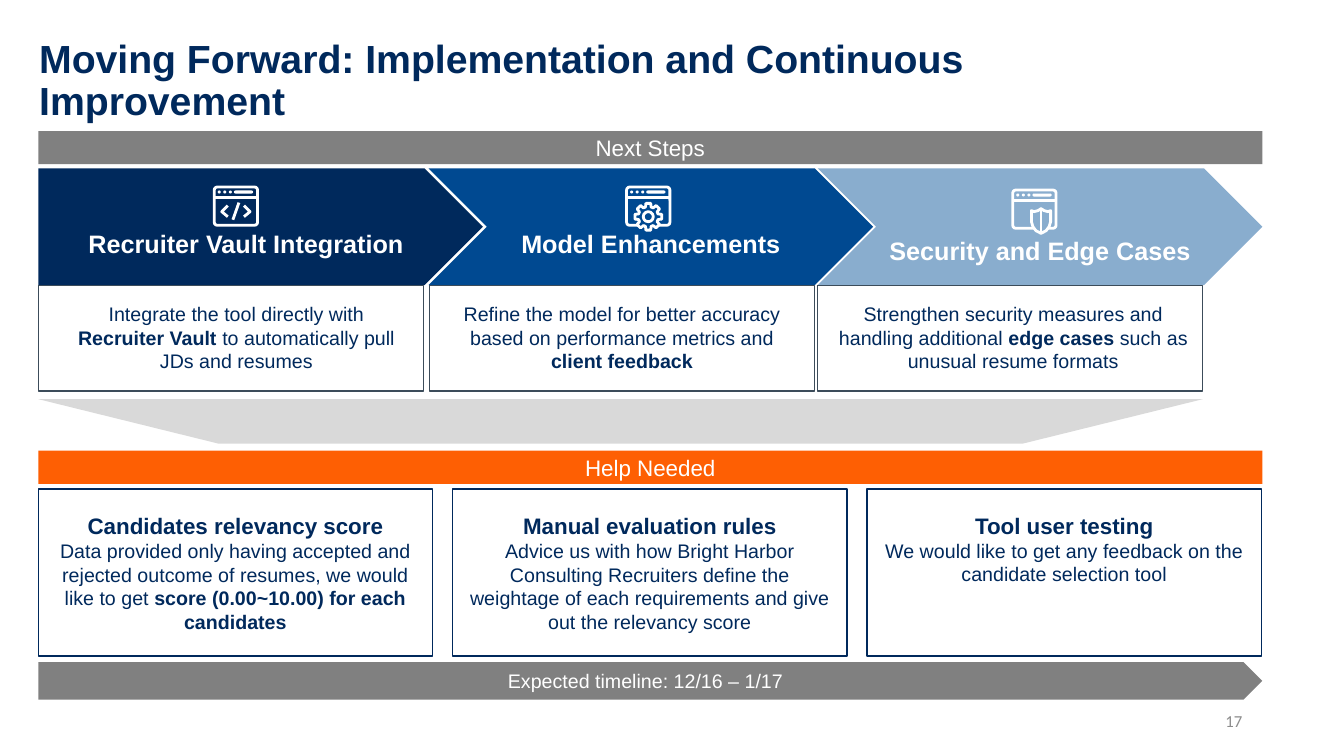
from math import cos, pi, sin
from pptx import Presentation
from pptx.dml.color import RGBColor
from pptx.enum.shapes import MSO_CONNECTOR, MSO_SHAPE
from pptx.enum.text import MSO_ANCHOR, PP_ALIGN
from pptx.oxml.ns import qn
from pptx.util import Inches, Pt

NAVY = RGBColor(0x00, 0x29, 0x5C)
BLUE = RGBColor(0x00, 0x49, 0x91)
LIGHT_BLUE = RGBColor(0x89, 0xAD, 0xCE)
ORANGE = RGBColor(0xFE, 0x5F, 0x03)
GRAY = RGBColor(0x80, 0x80, 0x80)
PALE_GRAY = RGBColor(0xD9, 0xD9, 0xD9)
NUMBER_GRAY = RGBColor(0x8C, 0x8C, 0x8C)
SLATE = RGBColor(0x3C, 0x4C, 0x5A)
WHITE = RGBColor(0xFF, 0xFF, 0xFF)

LEFT = 0.38
FULL_WIDTH = 12.14


def write(tf, text, size=14, color=NAVY, bold=False, font="Arial",
          align=PP_ALIGN.CENTER, line_spacing=None):
    p = tf.paragraphs[0]
    if p.runs:
        p = tf.add_paragraph()
    p.alignment = align
    if line_spacing:
        p.line_spacing = line_spacing
    for i, part in enumerate(text.split("**")):
        if part:
            r = p.add_run()
            r.text = part
            r.font.size = Pt(size)
            r.font.name = font
            r.font.color.rgb = color
            r.font.bold = bold or i % 2 == 1


class SlideBuilder:
    def __init__(self, slide, icon_line=2):
        self.s = slide
        self.icon_line = icon_line

    def style(self, sp, fill=None, line=None, width=1):
        sp.shadow.inherit = False
        if fill is None:
            sp.fill.background()
        else:
            sp.fill.solid()
            sp.fill.fore_color.rgb = fill
        if line is None:
            sp.line.fill.background()
        else:
            sp.line.color.rgb = line
            sp.line.width = Pt(width)
        return sp

    def shape(self, kind, x, y, w, h, fill=None, line=None, width=1):
        sp = self.s.shapes.add_shape(kind, Inches(x), Inches(y), Inches(w), Inches(h))
        sp.text_frame.word_wrap = True
        sp.text_frame.vertical_anchor = MSO_ANCHOR.MIDDLE
        return self.style(sp, fill, line, width)

    def textbox(self, x, y, w, h, text, anchor=MSO_ANCHOR.TOP, **fmt):
        tf = self.s.shapes.add_textbox(Inches(x), Inches(y), Inches(w), Inches(h)).text_frame
        tf.word_wrap = True
        tf.vertical_anchor = anchor
        write(tf, text, **fmt)

    def banner(self, kind, y, h, text, fill, size):
        sp = self.shape(kind, LEFT, y, FULL_WIDTH, h, fill)
        write(sp.text_frame, text, size=size, color=WHITE)

    def line(self, x1, y1, x2, y2):
        c = self.s.shapes.add_connector(
            MSO_CONNECTOR.STRAIGHT, Inches(x1), Inches(y1), Inches(x2), Inches(y2))
        c.line.color.rgb = WHITE
        c.line.width = Pt(self.icon_line)
        sp_pr = c._element.spPr
        sp_pr.append(sp_pr.makeelement(qn("a:effectLst"), {}))

    def outline(self, points, fill=None, close=True):
        pts = [(Inches(x), Inches(y)) for x, y in points]
        fb = self.s.shapes.build_freeform(*pts[0])
        fb.add_line_segments(pts[1:], close=close)
        self.style(fb.convert_to_shape(), fill, WHITE, self.icon_line)

    def window(self, x, y):
        frame = self.shape(MSO_SHAPE.ROUNDED_RECTANGLE, x + 0.015, y + 0.015,
                           0.43, 0.38, line=WHITE, width=self.icon_line)
        frame.adjustments[0] = 0.08
        for i in range(3):
            self.shape(MSO_SHAPE.OVAL, x + 0.05 + 0.055 * i, y + 0.05, 0.03, 0.03, WHITE)
        bar = self.shape(MSO_SHAPE.ROUNDED_RECTANGLE, x + 0.21, y + 0.05, 0.19, 0.03, WHITE)
        bar.adjustments[0] = 0.5
        self.line(x + 0.02, y + 0.12, x + 0.44, y + 0.12)

    def code_icon(self, x, y):
        self.window(x, y)
        center = x + 0.23
        for side in (-1, 1):
            self.outline([(center + side * 0.08, y + 0.2),
                          (center + side * 0.14, y + 0.26),
                          (center + side * 0.08, y + 0.31)], close=False)
        self.line(center - 0.03, y + 0.34, center + 0.03, y + 0.17)

    def gear_icon(self, x, y, fill):
        self.window(x, y)
        cx, cy = x + 0.23, y + 0.31
        teeth = []
        for i in range(8):
            for offset, radius in ((-0.28, 0.1), (-0.18, 0.135), (0.18, 0.135), (0.28, 0.1)):
                a = i * pi / 4 + offset
                teeth.append((cx + radius * cos(a), cy + radius * sin(a)))
        self.outline(teeth, fill)
        self.shape(MSO_SHAPE.OVAL, cx - 0.05, cy - 0.05, 0.1, 0.1,
                   line=WHITE, width=self.icon_line)

    def shield_icon(self, x, y, fill):
        self.window(x, y)
        cx = x + 0.295
        half = [(0, 0.2), (0.03, 0.22), (0.07, 0.23), (0.095, 0.22),
                (0.095, 0.33), (0.08, 0.38), (0.05, 0.42), (0, 0.445)]
        right = [(cx + dx, y + dy) for dx, dy in half]
        left = [(cx - dx, y + dy) for dx, dy in half[-2:0:-1]]
        self.outline(right + left, fill)
        self.line(cx, y + 0.2, cx, y + 0.44)

    def step(self, kind, x, fill, title, top_inset):
        sp = self.shape(kind, x, 1.67, 4.41, 1.16, fill)
        sp.text_frame.margin_top = Inches(top_inset)
        write(sp.text_frame, title, size=18, color=WHITE, bold=True)

    def step_detail(self, box_x, text_x, text_w, text):
        self.shape(MSO_SHAPE.RECTANGLE, box_x, 2.83, 3.82, 1.05, WHITE, SLATE)
        self.textbox(text_x, 2.95, text_w, 0.81, text)

    def help_card(self, x, title, body, bottom_inset):
        sp = self.shape(MSO_SHAPE.RECTANGLE, x, 4.85, 3.91, 1.66, WHITE, NAVY)
        sp.text_frame.margin_bottom = Inches(bottom_inset)
        write(sp.text_frame, title, size=16, bold=True)
        write(sp.text_frame, body)


def main():
    prs = Presentation()
    prs.slide_width = Inches(13.33)
    prs.slide_height = Inches(7.5)
    b = SlideBuilder(prs.slides.add_slide(prs.slide_layouts[6]))

    funnel = b.shape(MSO_SHAPE.TRAPEZOID, LEFT, 3.96, 11.55, 0.44, PALE_GRAY)
    funnel.adjustments[0] = 4.05
    funnel.rotation = 180
    b.textbox(0.29, 0.34, 11.02, 0.59,
              "Moving Forward: Implementation and Continuous Improvement",
              size=28, bold=True, align=PP_ALIGN.LEFT, line_spacing=0.9)
    b.textbox(9.42, 6.95, 3, 0.4, "17", anchor=MSO_ANCHOR.MIDDLE, size=12,
              color=NUMBER_GRAY, font="Calibri", align=PP_ALIGN.RIGHT)

    b.banner(MSO_SHAPE.RECTANGLE, 1.3, 0.33, "Next Steps", GRAY, 16)
    b.banner(MSO_SHAPE.RECTANGLE, 4.47, 0.33, "Help Needed", ORANGE, 16)
    b.banner(MSO_SHAPE.PENTAGON, 6.57, 0.37, "Expected timeline: 12/16 – 1/17", GRAY, 14)

    for kind, x, fill, title, inset in (
            (MSO_SHAPE.PENTAGON, LEFT, NAVY, "Recruiter Vault Integration", 0.37),
            (MSO_SHAPE.CHEVRON, 4.25, BLUE, "Model Enhancements", 0.37),
            (MSO_SHAPE.CHEVRON, 8.11, LIGHT_BLUE, "Security and Edge Cases", 0.52)):
        b.step(kind, x, fill, title, inset)

    for box_x, text_x, text_w, text in (
            (LEFT, 0.55, 3.59, "Integrate the tool directly with **Recruiter Vault **"
             "to automatically pull JDs and resumes"),
            (4.26, 4.37, 3.6, "Refine the model for better accuracy based on "
             "performance metrics and** client feedback**"),
            (8.11, 8.16, 3.78, "Strengthen security measures and handling additional "
             "**edge cases **such as unusual resume formats")):
        b.step_detail(box_x, text_x, text_w, text)

    b.code_icon(2.11, 1.84)
    b.gear_icon(6.2, 1.84, BLUE)
    b.shield_icon(10.03, 1.87, LIGHT_BLUE)

    cards = (
        ("Candidates relevancy score",
         "Data provided only having accepted and rejected outcome of resumes, "
         "we would like to get **score (0.00~10.00) for each candidates**", 0.05),
        ("Manual evaluation rules",
         "Advice us with how Bright Harbor Consulting Recruiters define the weightage "
         "of each requirements and give out the relevancy score", 0.05),
        ("Tool user testing",
         "We would like to get any feedback on the candidate selection tool", 0.52))
    for i, (title, body, inset) in enumerate(cards):
        b.help_card(LEFT + 4.11 * i, title, body, inset)

    prs.save("out.pptx")


if __name__ == "__main__":
    main()
